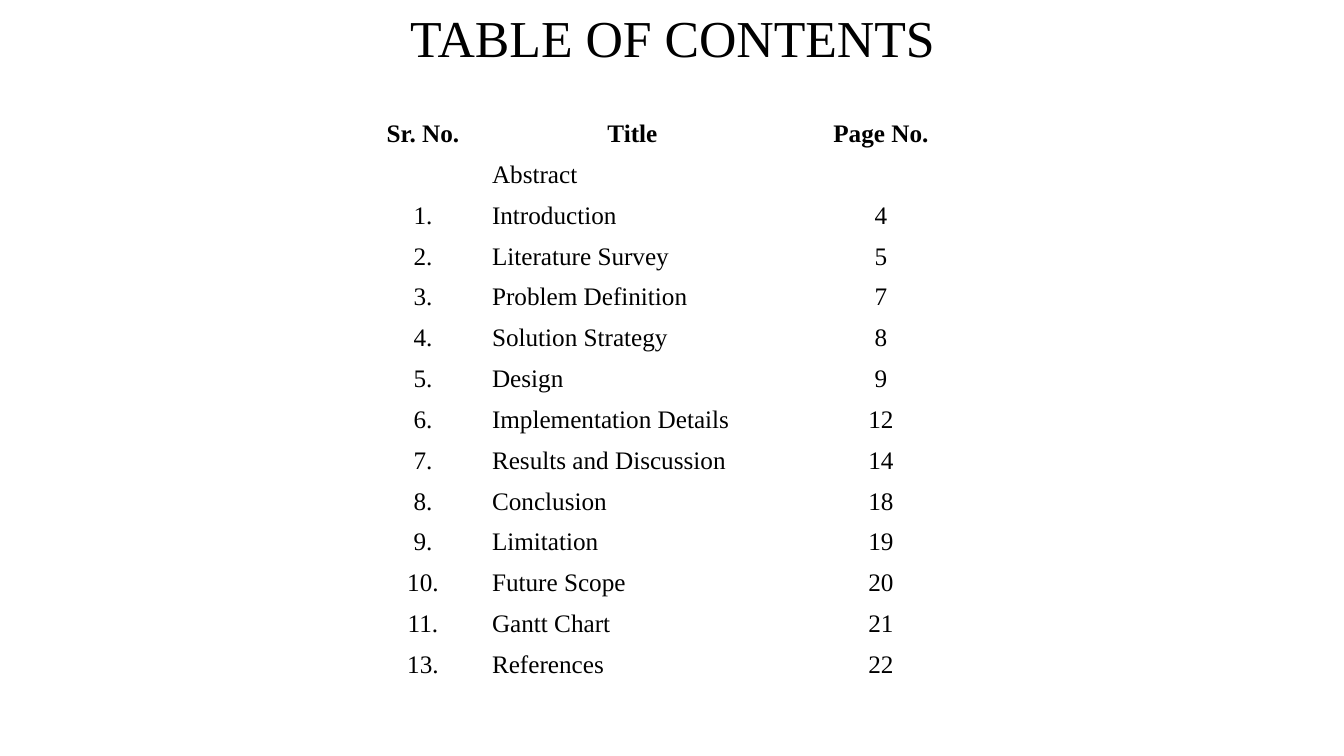
from pptx import Presentation
from pptx import util as u
from pptx.dml import color
from pptx.enum import text

FONT = "Times New Roman"
BLACK = "000000"
CENTER = text.PP_ALIGN.CENTER
LEFT = text.PP_ALIGN.LEFT


def px(length):
    return u.Emu(round(length * 914400 / 100.8))


def format_text(paragraph, size, alignment, bold=False):
    paragraph.alignment = alignment
    for run in paragraph.runs:
        run.font.name = FONT
        run.font.size = u.Pt(size)
        run.font.bold = bold
        run.font.color.rgb = color.RGBColor.from_string(BLACK)


presentation = Presentation()
presentation.slide_width = px(1344)
presentation.slide_height = px(756)
slide = presentation.slides.add_slide(presentation.slide_layouts[6])

title = slide.shapes.add_textbox(px(346), px(0), px(653), px(81))
title.text_frame.word_wrap = True
title.text_frame.vertical_anchor = text.MSO_ANCHOR.MIDDLE
title.text_frame.text = "TABLE OF CONTENTS"
title_paragraph = title.text_frame.paragraphs[0]
title_paragraph.line_spacing = 0.9
format_text(title_paragraph, 37, CENTER)

contents = [
    ("Sr. No.", "Title", "Page No."),
    ("", "Abstract", ""),
    ("1.", "Introduction", "4"),
    ("2.", "Literature Survey", "5"),
    ("3.", "Problem Definition", "7"),
    ("4.", "Solution Strategy", "8"),
    ("5.", "Design", "9"),
    ("6.", "Implementation Details", "12"),
    ("7.", "Results and Discussion", "14"),
    ("8.", "Conclusion", "18"),
    ("9.", "Limitation", "19"),
    ("10.", "Future Scope", "20"),
    ("11.", "Gantt Chart", "21"),
    ("13.", "References", "22"),
]
column_widths = [118, 301, 196]

table = slide.shapes.add_table(
    len(contents), len(column_widths), px(364), px(115), px(sum(column_widths)), px(572)
).table
table.first_row = False
table.horz_banding = False
for column, width in zip(table.columns, column_widths):
    column.width = px(width)

for row_index, entry in enumerate(contents):
    is_header = row_index == 0
    for column_index, label in enumerate(entry):
        cell = table.cell(row_index, column_index)
        cell.fill.background()
        cell.text_frame.text = label
        alignment = LEFT if column_index == 1 and not is_header else CENTER
        format_text(cell.text_frame.paragraphs[0], 18, alignment, is_header)

presentation.save("out.pptx")
